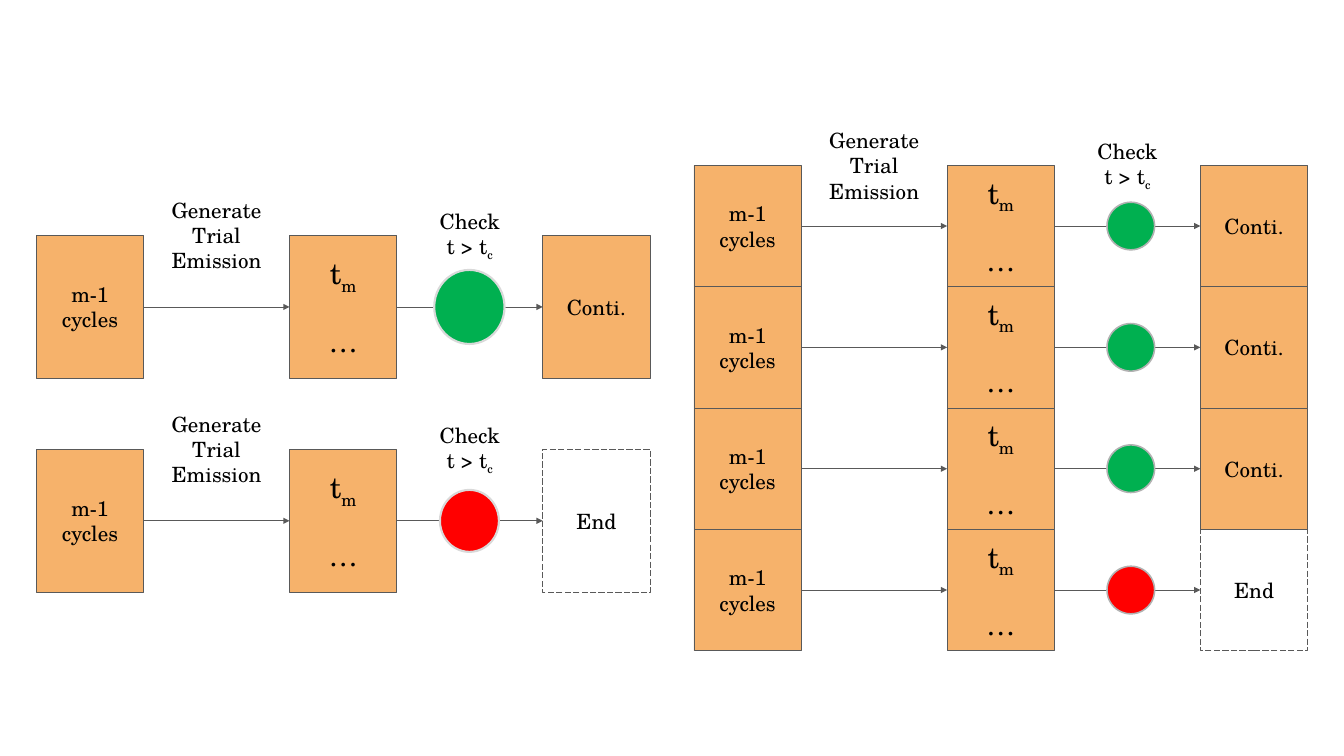
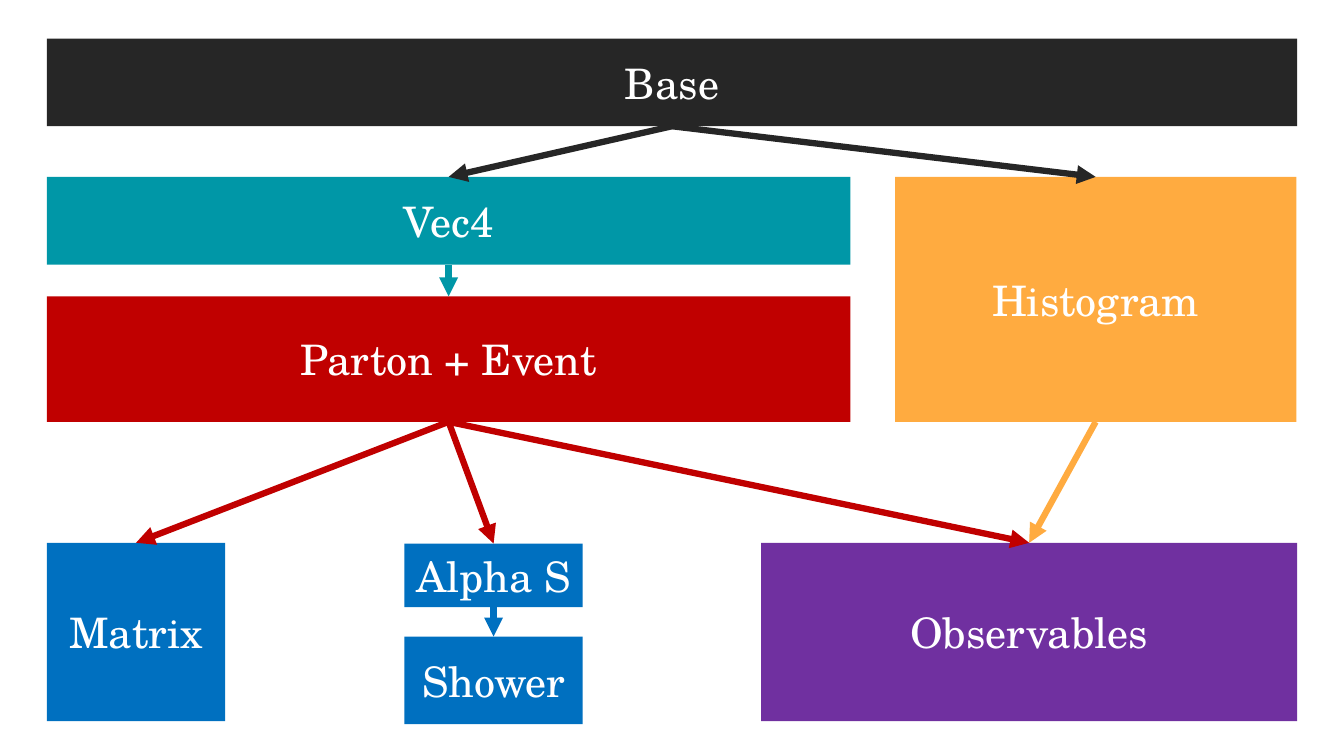
import pptx
import pptx.util
import pptx.dml.color
import pptx.enum.dml
import pptx.enum.shapes
import pptx.enum.text
import lxml.etree
from pptx.oxml.ns import qn

Inches = pptx.util.Inches
Pt = pptx.util.Pt
RECT = pptx.enum.shapes.MSO_SHAPE.RECTANGLE
OVAL = pptx.enum.shapes.MSO_SHAPE.OVAL
FONT = "TeX Gyre Schola"
COLORS = {
    "white": "FFFFFF", "black": "000000", "line": "595959", "box": "F6B26B",
    "green": "00B050", "red": "FF0000", "light_rim": "D9D9D9", "rim": "B2B2B2",
    "base": "262626", "teal": "0097A7", "crimson": "C00000", "orange": "FFAB40",
    "blue": "0070C0", "purple": "7030A0",
}
RGB = {name: pptx.dml.color.RGBColor.from_string(c) for name, c in COLORS.items()}


def add_box(slide, kind, left, top, width, height, fill=None, line=None, weight=0.75,
            text=(), size=20, color="black", inset=(0.25, 0), gap=0):
    """Add a shape, or a text box if kind is None; text is (words, subscript) per paragraph."""
    at = [Inches(v) for v in (left, top, width, height)]
    if kind is None:
        sp = slide.shapes.add_textbox(*at)
    else:
        sp = slide.shapes.add_shape(kind, *at)
        sp.shadow.inherit = False
        if fill:
            sp.fill.solid()
            sp.fill.fore_color.rgb = RGB[fill]
        else:
            sp.fill.background()
        if line:
            sp.line.color.rgb = RGB[line]
            sp.line.width = Pt(weight)
        else:
            sp.line.fill.background()
    tf = sp.text_frame
    tf.word_wrap = True
    tf.vertical_anchor = pptx.enum.text.MSO_ANCHOR.MIDDLE
    tf.margin_left = tf.margin_right = Inches(inset[0])
    tf.margin_top = tf.margin_bottom = Inches(inset[1])
    for i, (words, sub) in enumerate(text):
        p = tf.add_paragraph() if i else tf.paragraphs[0]
        p.alignment = pptx.enum.text.PP_ALIGN.CENTER
        p.font.name = FONT
        p.font.size = Pt(size)
        p.font.color.rgb = RGB[color]
        p.space_before = Pt(gap if i else 0)
        p.add_run().text = words
        if sub:
            r = p.add_run()
            r.text = sub
            r.font._element.set("baseline", "-25000")
    return sp


def add_arrow(slide, start, end, color, weight):
    points = [Inches(v) for v in (*start, *end)]
    cxn = slide.shapes.add_connector(pptx.enum.shapes.MSO_CONNECTOR.STRAIGHT, *points)
    cxn.line.color.rgb = RGB[color]
    cxn.line.width = Pt(weight)
    ln = cxn.line._get_or_add_ln()
    lxml.etree.SubElement(ln, qn("a:tailEnd"), type="triangle")
    lxml.etree.SubElement(cxn._element.spPr, qn("a:effectLst"))


prs = pptx.Presentation()
prs.slide_width = Inches(17.78)
prs.slide_height = Inches(10)
blank = prs.slide_layouts[6]

# Slide 1: emission cycles, one row per cycle
slide = prs.slides.add_slide(blank)
BOX_W, GAP = 1.42, 1.93
STEP = BOX_W + GAP
GENERATE = [("Generate Trial Emission", "")]
CHECK = [("Check", ""), ("t > t", "c")]

# left, centre height, box height, labelled, passes, light width, light height, light centre, rim, rim weight
rows = [
    (0.48, 4.06, 1.9, True, True, 0.93, 0.98, 6.21, "light_rim", 2),
    (0.48, 6.89, 1.9, True, False, 0.78, 0.82, 6.21, "light_rim", 2),
]
for i in range(4):
    rows.append((9.18, 2.99 + 1.605 * i, 1.605, i == 0, i < 3, 0.63, 0.63, 14.96, "rim", 1.5))

for left, mid, height, labelled, passes, light_w, light_h, light_x, rim, rim_weight in rows:
    top = mid - height / 2
    if labelled:
        for col, label in enumerate((GENERATE, CHECK)):
            add_box(slide, None, left + BOX_W + col * STEP, mid - height, GAP, height,
                    text=label, inset=(0.32, 0))
    add_box(slide, RECT, left, top, BOX_W, height, "box", "line", text=[("m-1 cycles", "")])
    add_box(slide, RECT, left + STEP, top, BOX_W, height, "box", "line",
            text=[("t", "m"), ("…", "")], size=28, gap=26)
    sp = add_box(slide, RECT, left + 2 * STEP, top, BOX_W, height, "box" if passes else None,
                 "line", text=[("Conti." if passes else "End", "")])
    if not passes:
        sp.line.dash_style = pptx.enum.dml.MSO_LINE.LONG_DASH
    for col in range(2):
        start = left + BOX_W + col * STEP
        add_arrow(slide, (start, mid), (start + GAP, mid), "line", 0.75)
    add_box(slide, OVAL, light_x - light_w / 2, mid - light_h / 2, light_w, light_h,
            "green" if passes else "red", rim, rim_weight)

# Slide 2: class dependencies
slide = prs.slides.add_slide(blank)
blocks = {
    "Base": (0.62, 0.51, 16.54, 1.16, "base"),
    "Parton + Event": (0.62, 3.92, 10.63, 1.66, "crimson"),
    "Vec4": (0.62, 2.34, 10.63, 1.16, "teal"),
    "Histogram": (11.84, 2.34, 5.31, 3.24, "orange"),
    "Observables": (10.07, 7.18, 7.09, 2.36, "purple"),
    "Matrix": (0.62, 7.18, 2.36, 2.36, "blue"),
    "Alpha S": (5.35, 7.19, 2.36, 0.84, "blue"),
    "Shower": (5.35, 8.42, 2.36, 1.16, "blue"),
}
links = [
    ("Base", "Vec4"), ("Base", "Histogram"), ("Vec4", "Parton + Event"),
    ("Parton + Event", "Alpha S"), ("Alpha S", "Shower"), ("Parton + Event", "Matrix"),
    ("Parton + Event", "Observables"), ("Histogram", "Observables"),
]
for name, (left, top, width, height, fill) in blocks.items():
    add_box(slide, RECT, left, top, width, height, fill, text=[(name, "")], size=40,
            color="white", inset=(0.1, 0.05))
for source, target in links:
    left, top, width, height, color = blocks[source]
    end_left, end_top, end_width = blocks[target][:3]
    add_arrow(slide, (left + width / 2, top + height), (end_left + end_width / 2, end_top),
              color, 6)

prs.save("out.pptx")
